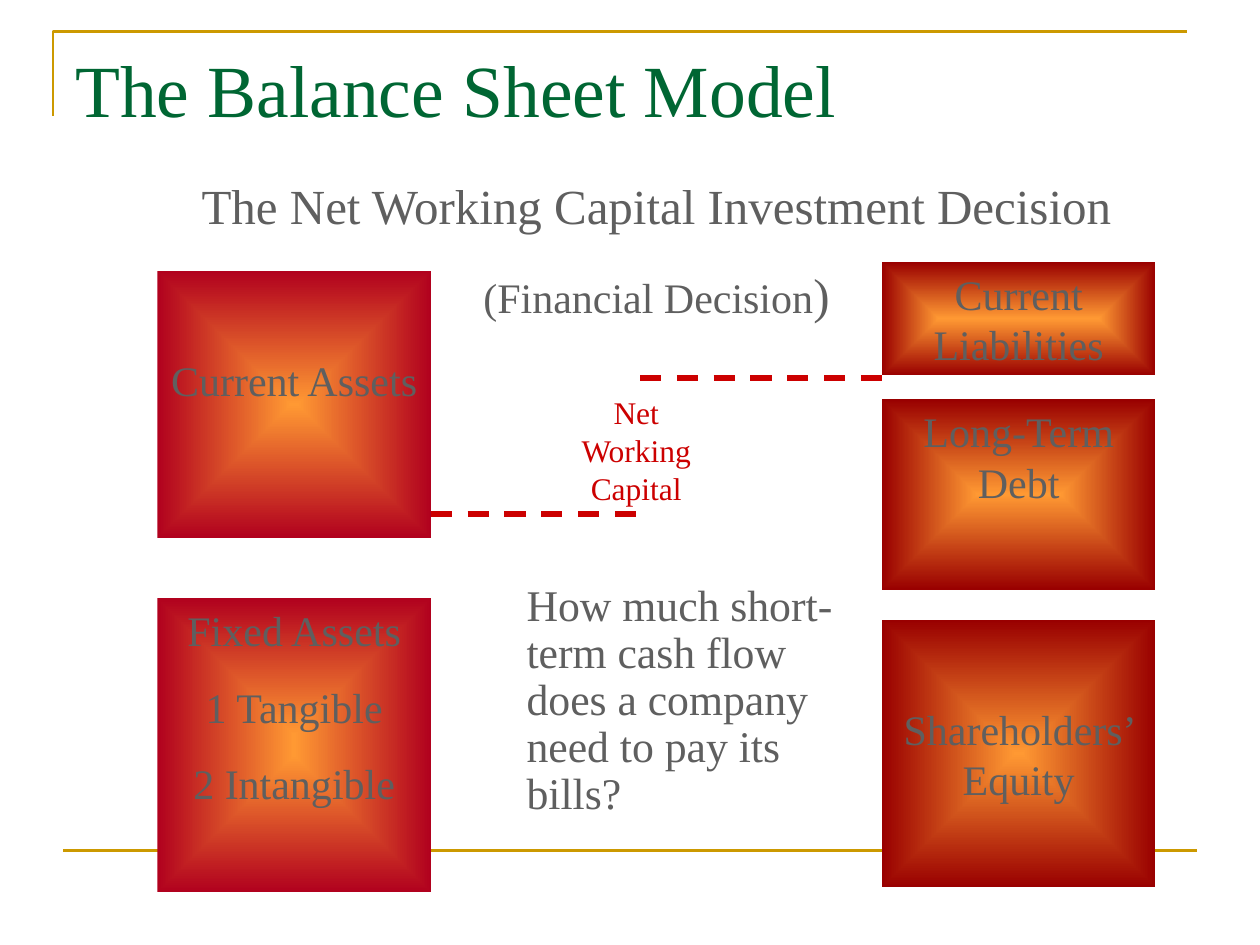
from dataclasses import dataclass

from lxml import etree
from pptx import Presentation
from pptx.dml.color import RGBColor
from pptx.enum.dml import MSO_LINE
from pptx.enum.shapes import MSO_CONNECTOR, MSO_SHAPE
from pptx.enum.text import MSO_ANCHOR, PP_ALIGN
from pptx.oxml.ns import qn
from pptx.util import Inches, Pt

LEFT, CENTER = PP_ALIGN.LEFT, PP_ALIGN.CENTER
TOP = MSO_ANCHOR.TOP
DASH = MSO_LINE.DASH
STRAIGHT = MSO_CONNECTOR.STRAIGHT
RECTANGLE = MSO_SHAPE.RECTANGLE


@dataclass(frozen=True)
class Theme:
    font: str = "Times New Roman"
    title: str = "006633"
    body: str = "5F5F5F"
    accent: str = "CC0000"
    rule: str = "CC9900"
    glow: str = "FF9933"
    asset: str = "B1011E"
    claim: str = "990000"
    title_size: float = 42
    heading_size: float = 28
    question_size: float = 25
    box_size: float = 24
    label_size: float = 18


THEME = Theme()
BOX_WIDTH = 2.17
ASSET_LEFT, CLAIM_LEFT = 1.25, 7
INSET, LOWERED_INSET = 0.05, 0.66

BALANCE_BOXES = [
    (ASSET_LEFT, 2.15, 2.12, THEME.asset, LOWERED_INSET, ["Current Assets"]),
    (ASSET_LEFT, 4.75, 2.33, THEME.asset, INSET, ["Fixed Assets", "1 Tangible", "2 Intangible"]),
    (CLAIM_LEFT, 2.08, 0.9, THEME.claim, INSET, ["Current Liabilities"]),
    (CLAIM_LEFT, 3.17, 1.51, THEME.claim, INSET, ["Long-Term Debt"]),
    (CLAIM_LEFT, 4.92, 2.12, THEME.claim, LOWERED_INSET, ["Shareholders’ Equity"]),
]
TITLE = "The Balance Sheet Model"
HEADING = ["The Net Working Capital Investment Decision", "(Financial Decision"]
CLOSING_BRACKET = ")"
QUESTION = "How much short-term cash flow does a company need to pay its bills?"
GAP_LABEL = "Net Working Capital"
CORNER_RULE = [(0.42, 0.92), (0.42, 0.25), (9.42, 0.25)]
FOOT_RULE = ((0.5, 6.75), (9.5, 6.75))
GAP_LINES = [((5.08, 3), (7.1, 3)), ((3.42, 4.08), (5.06, 4.08))]


def style_span(span, size, color):
    """Give a run its font, size and colour."""
    span.font.name = THEME.font
    span.font.size = Pt(size)
    span.font.color.rgb = RGBColor.from_string(color)


def write(box, lines, size, color, align=CENTER, top=INSET, left=0.1, gap=0):
    """Fill a shape with paragraphs of one style."""
    frame = box.text_frame
    frame.word_wrap = True
    frame.vertical_anchor = TOP
    frame.margin_left, frame.margin_right = Inches(left), Inches(0.1)
    frame.margin_top, frame.margin_bottom = Inches(top), Inches(INSET)
    frame.text = "\n".join(lines)
    for index, para in enumerate(frame.paragraphs):
        para.alignment = align
        if index:
            para.space_before = Pt(gap)
        for span in para.runs:
            style_span(span, size, color)
    return frame.paragraphs


def add_text(page, place, *content, **layout):
    """Add a text box at a place given in inches."""
    box = page.shapes.add_textbox(*map(Inches, place))
    return write(box, *content, **layout)


def add_line(page, start, end, color, width):
    """Add a straight line without shadow."""
    line = page.shapes.add_connector(STRAIGHT, *map(Inches, start + end))
    line.line.color.rgb = RGBColor.from_string(color)
    line.line.width = Pt(width)
    etree.SubElement(line._element.spPr, qn("a:effectLst"))
    return line


def add_corner(page):
    """Draw the open rule around the top left of the title."""
    builder = page.shapes.build_freeform(*map(Inches, CORNER_RULE[0]))
    builder.add_line_segments([tuple(map(Inches, point)) for point in CORNER_RULE[1:]], close=False)
    corner = builder.convert_to_shape()
    corner.shadow.inherit = False
    corner.fill.background()
    corner.line.color.rgb = RGBColor.from_string(THEME.rule)
    corner.line.width = Pt(1.5)


def fill_from_centre(box, inner, outer):
    """Shade a shape from its centre to its edges."""
    box.fill.gradient()
    for stop, color in zip(box.fill.gradient_stops, (inner, outer)):
        stop.color.rgb = RGBColor.from_string(color)
    gradient = box._element.spPr.find(qn("a:gradFill"))
    gradient.remove(gradient.find(qn("a:lin")))
    shade = etree.SubElement(gradient, qn("a:path"), path="rect")
    etree.SubElement(shade, qn("a:fillToRect"), dict.fromkeys("ltrb", "50000"))


def add_balance_box(page, left, top, height, color, inset, lines):
    """Add one item of the balance sheet."""
    box = page.shapes.add_shape(RECTANGLE, *map(Inches, (left, top, BOX_WIDTH, height)))
    box.shadow.inherit = False
    box.line.fill.background()
    fill_from_centre(box, THEME.glow, color)
    write(box, lines, THEME.box_size, THEME.body, top=inset, gap=15)


def main():
    """Build the balance sheet slide."""
    deck = Presentation()
    deck.slide_width, deck.slide_height = Inches(10), Inches(7.5)
    page = deck.slides.add_slide(deck.slide_layouts[6])
    add_corner(page)
    add_line(page, *FOOT_RULE, THEME.rule, 1.5)
    add_text(page, (0.5, 0.3, 9, 1.25), [TITLE], THEME.title_size, THEME.title, align=LEFT)
    heading = add_text(page, (0.92, 1.34, 8.58, 1.28), HEADING, THEME.heading_size, THEME.body, gap=17.5)
    heading[1].runs[0].font.size = Pt(THEME.box_size)
    bracket = heading[1].add_run()
    bracket.text = CLOSING_BRACKET
    style_span(bracket, THEME.heading_size, THEME.body)
    for item in BALANCE_BOXES:
        add_balance_box(page, *item)
    question = add_text(page, (3.58, 4.58, 3.17, 2.61), [QUESTION], THEME.question_size,
                        THEME.body, align=LEFT, left=0.6)
    question[0].line_spacing = 0.9
    add_text(page, (4.35, 3.07, 1.4, 1), [GAP_LABEL], THEME.label_size, THEME.accent)
    for start, end in GAP_LINES:
        add_line(page, start, end, THEME.accent, 3).line.dash_style = DASH
    deck.save("out.pptx")


if __name__ == "__main__":
    main()
